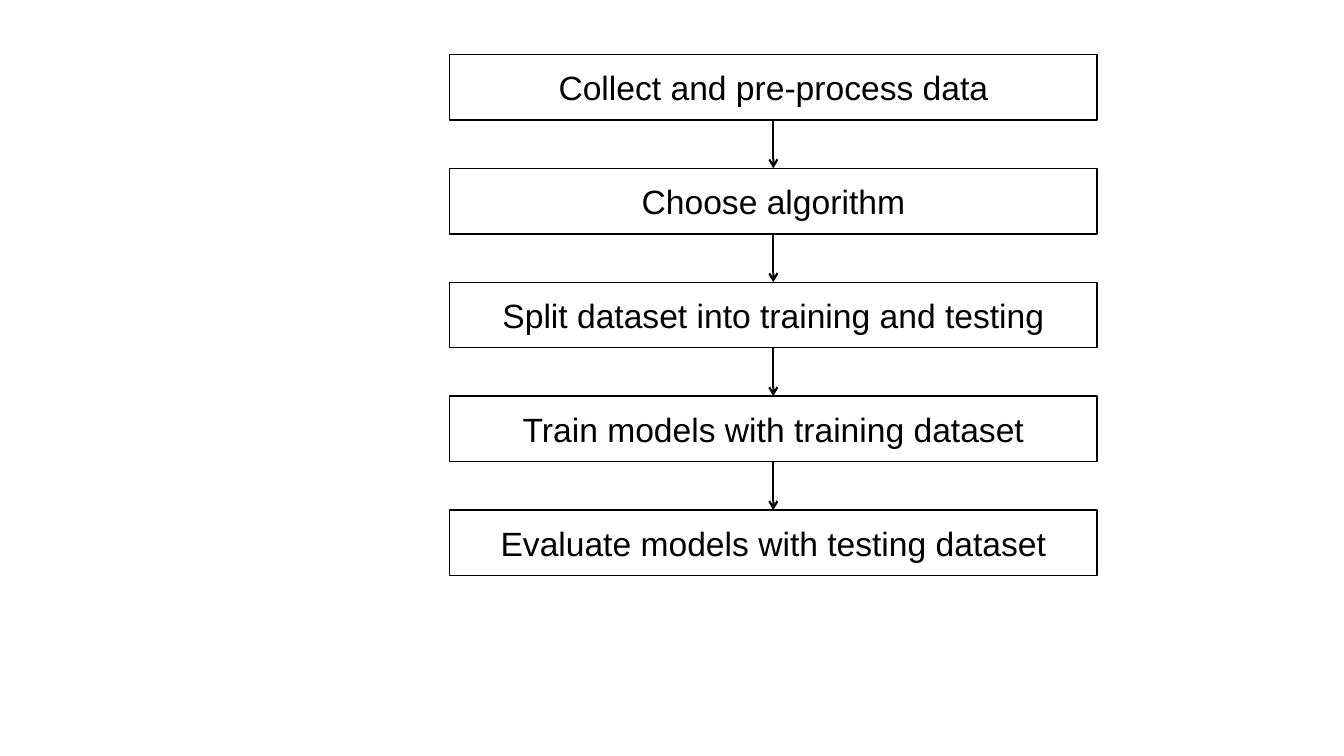
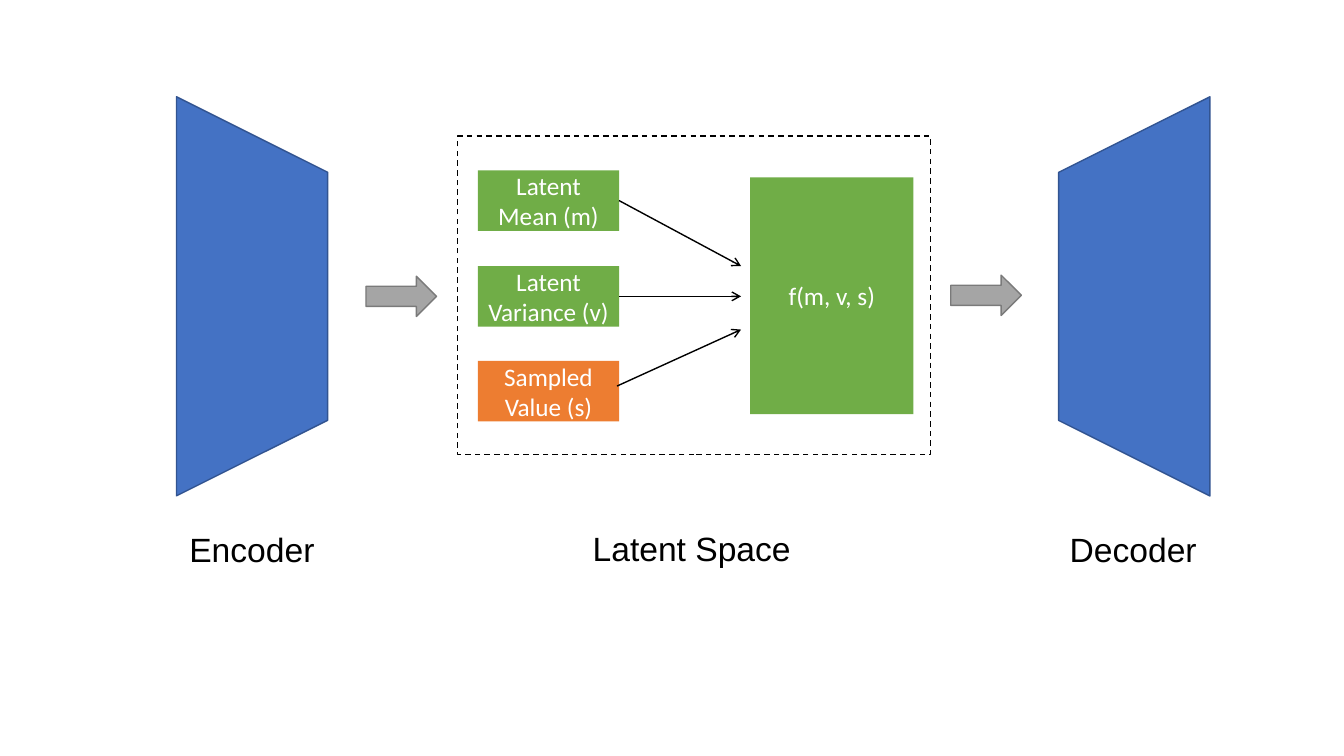
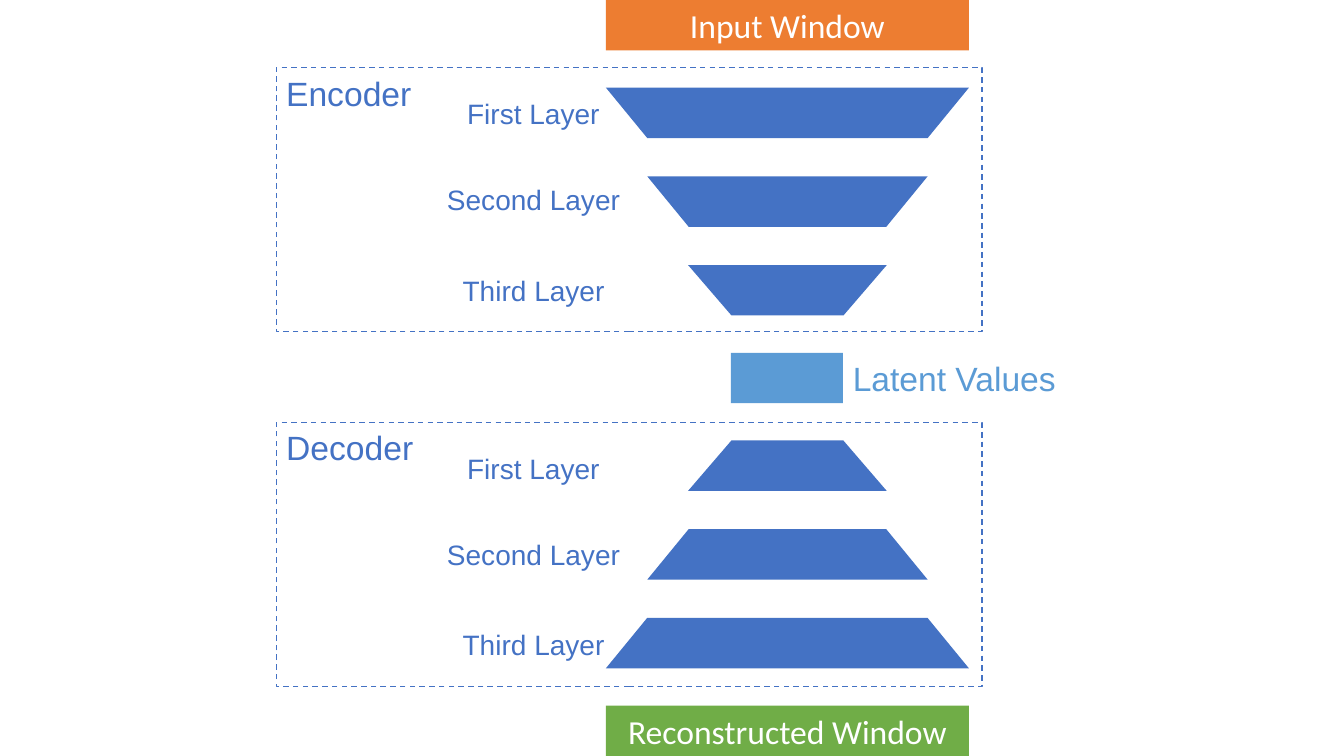
import dataclasses

import pptx
import pptx.dml.color
import pptx.enum.dml
import pptx.enum.shapes
import pptx.enum.text
import pptx.oxml
import pptx.oxml.ns
import pptx.util

Inches = pptx.util.Inches
Preset = pptx.enum.shapes.MSO_SHAPE


@dataclasses.dataclass(frozen=True)
class Theme:
    black: str = "000000"
    white: str = "FFFFFF"
    blue: str = "4472C4"
    blue_edge: str = "325491"
    light_blue: str = "5B9BD5"
    gray: str = "A5A5A5"
    gray_edge: str = "7A7A7A"
    green: str = "70AD47"
    orange: str = "ED7D31"
    label_font: str = "Arial"
    block_font: str = "Calibri"
    large: int = 24
    medium: int = 20
    small: int = 18
    thin: float = 1
    thick: float = 1.5


theme = Theme()


def add_box(page, at, text="", preset=None, fill=None, line=None, dashed=False,
            rotation=0, adjust=None, font=theme.label_font, size=theme.large,
            color=theme.black):
    lengths = [Inches(value) for value in at]
    if preset is None:
        box = page.shapes.add_textbox(*lengths)
        box.text_frame.word_wrap = False
        box.text_frame.auto_size = pptx.enum.text.MSO_AUTO_SIZE.SHAPE_TO_FIT_TEXT
        align = pptx.enum.text.PP_ALIGN.LEFT
    else:
        box = page.shapes.add_shape(preset, *lengths)
        box.shadow.inherit = False
        box.rotation = rotation
        if adjust is not None:
            box.adjustments[0] = adjust
        for paint, shade in ((box.fill, fill), (box.line.fill, line)):
            if shade:
                paint.solid()
                paint.fore_color.rgb = pptx.dml.color.RGBColor.from_string(shade)
            else:
                paint.background()
        if line:
            box.line.width = pptx.util.Pt(theme.thin)
        if dashed:
            box.line.dash_style = pptx.enum.dml.MSO_LINE.DASH
        box.text_frame.word_wrap = True
        box.text_frame.vertical_anchor = pptx.enum.text.MSO_ANCHOR.MIDDLE
        align = pptx.enum.text.PP_ALIGN.CENTER
    if text:
        box.text_frame.text = text
        for para in box.text_frame.paragraphs:
            para.alignment = align
            for span in para.runs:
                span.font.name = font
                span.font.size = pptx.util.Pt(size)
                span.font.color.rgb = pptx.dml.color.RGBColor.from_string(color)


def add_arrow(page, start, end, width):
    arrow = page.shapes.add_connector(
        pptx.enum.shapes.MSO_CONNECTOR.STRAIGHT,
        *[Inches(value) for value in start + end])
    arrow.line.color.rgb = pptx.dml.color.RGBColor.from_string(theme.black)
    arrow.line.width = pptx.util.Pt(width)
    namespace = pptx.oxml.ns.nsdecls("a")
    arrow.line._get_or_add_ln().append(
        pptx.oxml.parse_xml(f'<a:tailEnd {namespace} type="arrow"/>'))
    arrow._element.spPr.append(pptx.oxml.parse_xml(f"<a:effectLst {namespace}/>"))


deck = pptx.Presentation()
deck.slide_width = Inches(13.33)
deck.slide_height = Inches(7.5)
workflow, latent, network = [
    deck.slides.add_slide(deck.slide_layouts[6]) for _ in range(3)]

steps = [
    "Collect and pre-process data",
    "Choose algorithm",
    "Split dataset into training and testing",
    "Train models with training dataset",
    "Evaluate models with testing dataset",
]
step_height, step_pitch = 0.65, 1.13
for index, step in enumerate(steps):
    top = 0.54 + index * step_pitch
    add_box(workflow, (4.46, top, 6.42, step_height), step,
            preset=Preset.RECTANGLE, line=theme.black)
    if index:
        add_arrow(workflow, (7.67, top - step_pitch + step_height), (7.67, top),
                  theme.thick)

for name, at in [
    ("Encoder", (1.78, 5.2, 1.46, 0.5)),
    ("Decoder", (10.51, 5.2, 1.48, 0.5)),
    ("Latent Space", (5.78, 5.19, 2.19, 0.5)),
]:
    add_box(latent, at, name)
for left, rotation in [(0.52, 90), (9.27, 270)]:
    add_box(latent, (left, 2.19, 3.96, 1.5), preset=Preset.TRAPEZOID,
            fill=theme.blue, line=theme.blue_edge, rotation=rotation, adjust=0.5)
for left, top in [(3.63, 2.74), (9.43, 2.73)]:
    add_box(latent, (left, top, 0.7, 0.4), preset=Preset.RIGHT_ARROW,
            fill=theme.gray, line=theme.gray_edge)
add_box(latent, (4.54, 1.35, 4.69, 3.16), preset=Preset.RECTANGLE,
        line=theme.black, dashed=True)
blocks = [
    ("Latent\nMean (m)", (4.74, 1.69, 1.4, 0.6), theme.green),
    ("Latent\nVariance (v)", (4.74, 2.64, 1.4, 0.6), theme.green),
    ("Sampled Value (s)", (4.74, 3.58, 1.4, 0.6), theme.orange),
    ("f(m, v, s)", (7.44, 1.76, 1.62, 2.35), theme.green),
]
for text, at, fill in blocks:
    add_box(latent, at, text, preset=Preset.RECTANGLE, fill=fill,
            font=theme.block_font, size=theme.small, color=theme.white)
for start, end_top in [((6.14, 1.99), 2.64), ((6.14, 2.94), 2.94), ((6.12, 3.83), 3.27)]:
    add_arrow(latent, start, (7.35, end_top), theme.thin)

for text, top, fill in [
    ("Input Window", 0, theme.orange),
    ("Reconstructed Window", 7, theme.green),
]:
    add_box(network, (6.01, top, 3.6, 0.5), text, preset=Preset.RECTANGLE,
            fill=fill, font=theme.block_font, color=theme.white)

layer_center, label_center = 7.81, 5.3
for index, (width, adjust) in enumerate([(3.6, 0.82), (2.78, 0.82), (1.97, 0.86)]):
    encoder_top = 0.87 + index * 0.88
    for top, rotation in [(encoder_top, 180), (7 - encoder_top, 0)]:
        add_box(network, (layer_center - width / 2, top, width, 0.5),
                preset=Preset.TRAPEZOID, fill=theme.blue, rotation=rotation,
                adjust=adjust)

for name, panel_top, name_width in [("Encoder", 0.67, 1.46), ("Decoder", 4.19, 1.48)]:
    add_box(network, (2.74, panel_top, 7, 2.62), preset=Preset.RECTANGLE,
            line=theme.blue, dashed=True)
    add_box(network, (2.74, panel_top, name_width, 0.5), name, color=theme.blue)
    for text, offset, width in [
        ("First Layer", 0.24, 1.53),
        ("Second Layer", 1.09, 1.93),
        ("Third Layer", 1.99, 1.62),
    ]:
        add_box(network, (label_center - width / 2, panel_top + offset, width, 0.44),
                text, size=theme.medium, color=theme.blue)

add_box(network, (7.25, 3.5, 1.11, 0.5), preset=Preset.RECTANGLE, fill=theme.light_blue)
add_box(network, (8.36, 3.5, 2.24, 0.5), "Latent Values", color=theme.light_blue)

deck.save("out.pptx")
